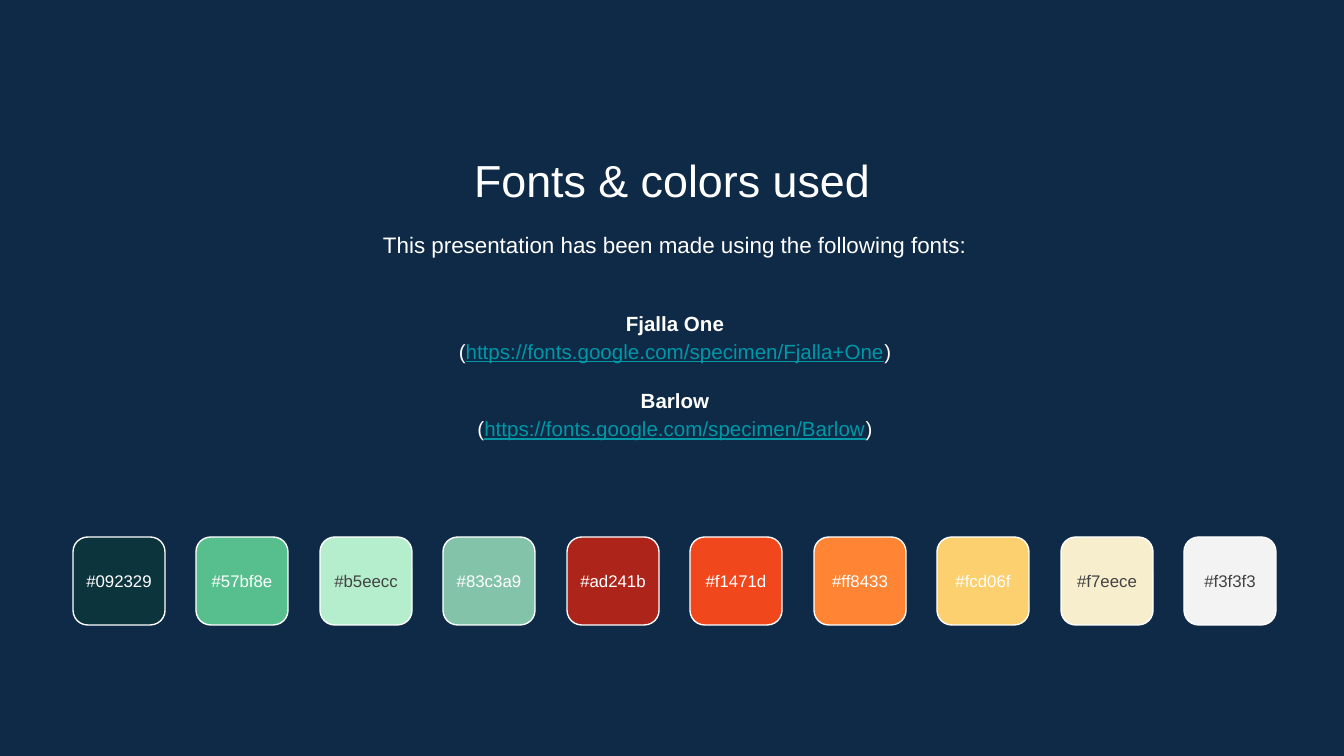
from dataclasses import dataclass

import pptx
import pptx.dml.color
import pptx.enum.shapes
import pptx.enum.text
import pptx.util

SLIDE_WIDTH, SLIDE_HEIGHT = 1344, 756
EMU_PER_PX = 9144000 / SLIDE_WIDTH
FONT = "Arial"
COLORS = {
    "background": "0E2A47",
    "light": "FFFFFF",
    "dark": "434343",
    "link": "0097A7",
}


@dataclass(frozen=True)
class Box:
    left: int
    top: int
    width: int
    height: int


@dataclass(frozen=True)
class Run:
    text: str
    size: int
    color: str = "light"
    bold: bool = False
    underline: bool = False


@dataclass(frozen=True)
class Line:
    runs: tuple[Run, ...]
    spacing: float = 1.0
    space_before: int = 0


@dataclass(frozen=True)
class Swatch:
    label: str
    fill: str
    text_color: str = "light"


@dataclass(frozen=True)
class FontSource:
    name: str
    address: str


def px(length: int) -> pptx.util.Emu:
    return pptx.util.Emu(round(length * EMU_PER_PX))


def rgb(color: str) -> pptx.dml.color.RGBColor:
    return pptx.dml.color.RGBColor.from_string(color)


def write_lines(shape, lines: list[Line], inset: int, middle: bool) -> None:
    frame = shape.text_frame
    frame.word_wrap = True
    frame.margin_left = frame.margin_right = px(inset)
    frame.margin_top = frame.margin_bottom = px(inset)
    anchors = pptx.enum.text.MSO_ANCHOR
    frame.vertical_anchor = anchors.MIDDLE if middle else anchors.TOP
    for index, line in enumerate(lines):
        paragraph = frame.add_paragraph() if index else frame.paragraphs[0]
        paragraph.alignment = pptx.enum.text.PP_ALIGN.CENTER
        paragraph.line_spacing = line.spacing
        if line.space_before:
            paragraph.space_before = pptx.util.Pt(line.space_before)
        for part in line.runs:
            run = paragraph.add_run()
            run.text = part.text
            run.font.name = FONT
            run.font.size = pptx.util.Pt(part.size)
            run.font.bold = part.bold
            run.font.underline = part.underline
            run.font.color.rgb = rgb(COLORS[part.color])


def add_text(slide, box: Box, lines: list[Line], middle: bool = False) -> None:
    shape = slide.shapes.add_textbox(
        px(box.left), px(box.top), px(box.width), px(box.height))
    write_lines(shape, lines, inset=13, middle=middle)


def add_swatch(slide, box: Box, swatch: Swatch) -> None:
    shape = slide.shapes.add_shape(
        pptx.enum.shapes.MSO_SHAPE.ROUNDED_RECTANGLE,
        px(box.left), px(box.top), px(box.width), px(box.height))
    shape.shadow.inherit = False
    shape.fill.solid()
    shape.fill.fore_color.rgb = rgb(swatch.fill)
    shape.line.color.rgb = rgb(COLORS["light"])
    shape.line.width = pptx.util.Pt(0.75)
    label = Line((Run(swatch.label, 9, swatch.text_color),))
    write_lines(shape, [label], inset=0, middle=True)


def source_lines(source: FontSource, space_before: int) -> list[Line]:
    address = (
        Run("(", 11),
        Run(source.address, 11, "link", underline=True),
        Run(")", 11),
    )
    return [
        Line((Run(source.name, 11, bold=True),), 1.15, space_before),
        Line(address, 1.15),
    ]


FONT_SOURCES = [
    FontSource("Fjalla One", "https://fonts.google.com/specimen/Fjalla+One"),
    FontSource("Barlow", "https://fonts.google.com/specimen/Barlow"),
]
SWATCHES = [
    Swatch("#092329", "0C343D"),
    Swatch("#57bf8e", "57BF8E"),
    Swatch("#b5eecc", "B5EECC", "dark"),
    Swatch("#83c3a9", "83C3A9"),
    Swatch("#ad241b", "AD241B"),
    Swatch("#f1471d", "F1471D"),
    Swatch("#ff8433", "FF8433"),
    Swatch("#fcd06f", "FCD06F"),
    Swatch("#f7eece", "F7EECE", "dark"),
    Swatch("#f3f3f3", "F3F3F3", "dark"),
]
FIRST_SWATCH = Box(73, 537, 92, 88)
LAST_SWATCH_LEFT = 1184


def main() -> None:
    presentation = pptx.Presentation()
    presentation.slide_width = px(SLIDE_WIDTH)
    presentation.slide_height = px(SLIDE_HEIGHT)
    slide = presentation.slides.add_slide(presentation.slide_layouts[6])
    slide.background.fill.solid()
    slide.background.fill.fore_color.rgb = rgb(COLORS["background"])

    # Title and introduction
    add_text(slide, Box(154, 140, 1036, 71),
             [Line((Run("Fonts & colors used", 24),))])
    introduction = "This presentation has been made using the following fonts:"
    add_text(slide, Box(157, 214, 1036, 64),
             [Line((Run(introduction, 12),), 1.15)])

    # Fonts with their addresses
    lines = []
    for source in FONT_SOURCES:
        lines += source_lines(source, space_before=11 if lines else 0)
    add_text(slide, Box(157, 282, 1036, 184), lines, middle=True)

    # Evenly spaced row of color swatches
    first = FIRST_SWATCH
    pitch = (LAST_SWATCH_LEFT - first.left) / (len(SWATCHES) - 1)
    for index, swatch in enumerate(SWATCHES):
        left = first.left + round(index * pitch)
        add_swatch(slide, Box(left, first.top, first.width, first.height), swatch)

    presentation.save("out.pptx")


if __name__ == "__main__":
    main()
